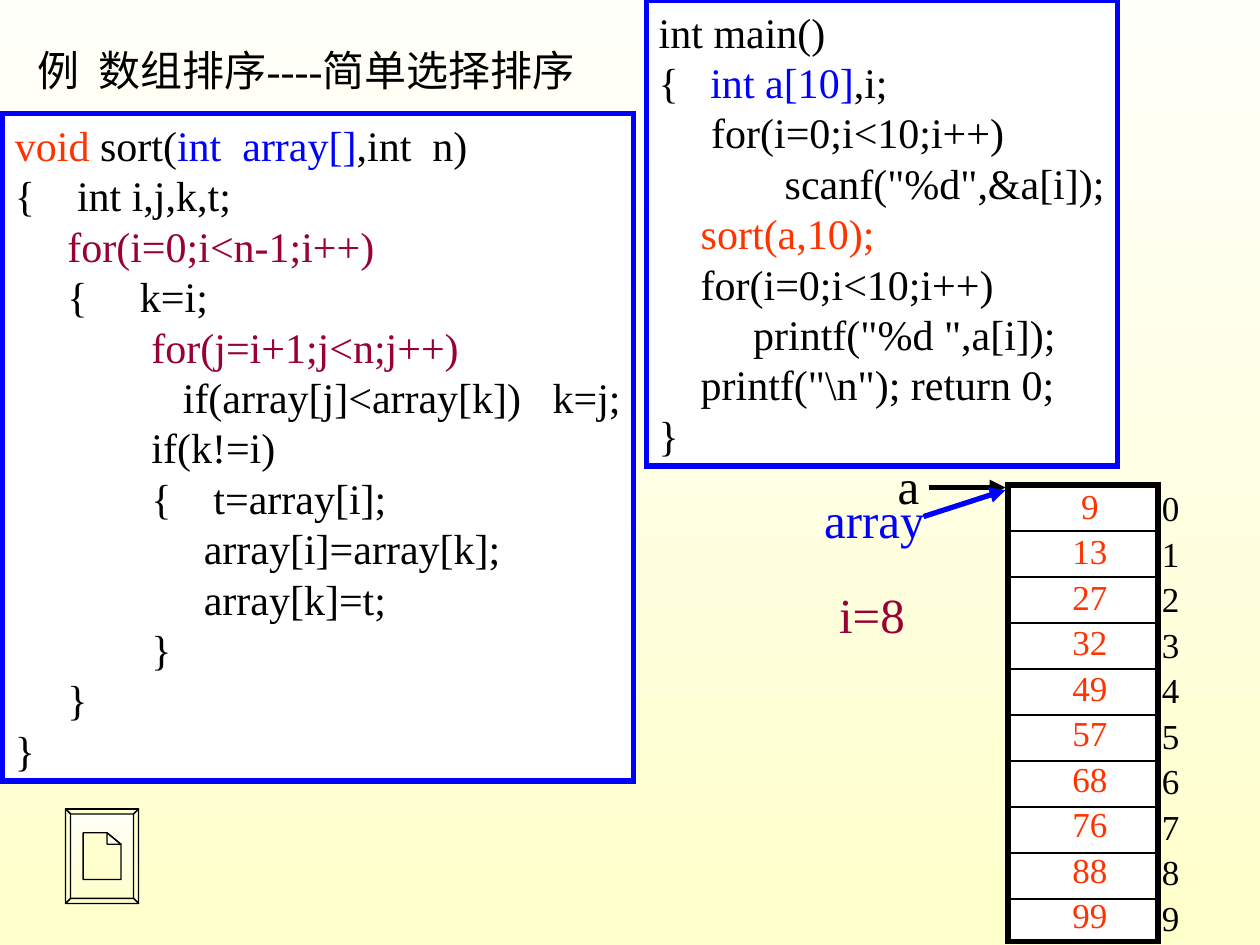
from lxml.etree import SubElement as Sub
from pptx import Presentation
from pptx.dml.color import RGBColor
from pptx.enum.shapes import MSO_CONNECTOR as Link, MSO_SHAPE as Shape
from pptx.enum.text import MSO_ANCHOR as Anchor, MSO_AUTO_SIZE as Fit, PP_ALIGN as Align
from pptx.oxml.ns import qn
from pptx.util import Inches, Pt

BLACK, WHITE, BLUE, RED, WINE = "000000", "FFFFFF", "0000FF", "FF3300", "990033"
FACE = "Times New Roman"
FRAME = {"word_wrap": False, "auto_size": Fit.SHAPE_TO_FIT_TEXT,
         "margin_left": Inches(0.1), "margin_right": Inches(0.1),
         "margin_top": Inches(0.05), "margin_bottom": Inches(0.05)}

SORT = [
    [("void", RED), (" sort(", BLACK), ("int  array[]", BLUE), (",int  n)", BLACK)],
    [("{    int i,j,k,t;", BLACK)],
    [("     for(i=0;i<n-1;i++)", WINE)],
    [("     {     k=i;", BLACK)],
    [("\t for(j=i+1;j<n;j++)", WINE)],
    [("\t    if(array[j]<array[k])   k=j;", BLACK)],
    [("\t if(k!=i)", BLACK)],
    [("\t {    t=array[i];", BLACK)],
    [("\t      array[i]=array[k];", BLACK)],
    [("\t      array[k]=t;", BLACK)],
    [("\t }", BLACK)],
    [("     }", BLACK)],
    [("}", BLACK)],
]
MAIN = [
    [("int main()", BLACK)],
    [("{  ", BLACK), (" int a[10]", BLUE), (",i;", BLACK)],
    [("     for(i=0;i<10;i++)", BLACK)],
    [("\tscanf(\"%d\",&a[i]);", BLACK)],
    [("    ", BLACK), ("sort(a,10);", RED)],
    [("    for(i=0;i<10;i++)", BLACK)],
    [("         printf(\"%d \",a[i]);", BLACK)],
    [("    printf(\"\\n\"); return 0;", BLACK)],
    [("}", BLACK)],
]
VALUES = [9, 13, 27, 32, 49, 57, 68, 76, 88, 99]


def tint(hue):
    """Turn a hex string into a colour."""
    return RGBColor.from_string(hue)


def apply(thing, style):
    """Set each attribute named in a style dict."""
    for name, value in style.items():
        setattr(thing, name, value)


def fade(fill):
    """Give a fill the pale yellow gradient, running downwards."""
    fill.gradient()
    fill.gradient_angle = 270
    for stop, hue in zip(fill.gradient_stops, ("FFFFFA", "FFFFCC")):
        stop.color.rgb = tint(hue)


def draw(line, hue, width):
    """Set the colour and width of a line."""
    line.color.rgb = tint(hue)
    line.width = Pt(width)


def tabs(para):
    """Put a left tab stop at every inch."""
    stops = Sub(para._p.get_or_add_pPr(), qn("a:tabLst"))
    for n in range(8):
        Sub(stops, qn("a:tab"), pos=str(Inches(n)), algn="l")


def write(frame, lines, size, align=Align.LEFT, anchor=Anchor.TOP):
    """Fill a text frame with lines of coloured runs."""
    apply(frame, FRAME | {"vertical_anchor": anchor})
    for n, parts in enumerate(lines):
        para = frame.add_paragraph() if n else frame.paragraphs[0]
        para.alignment = align
        tabs(para)
        for text, hue in parts:
            run = para.add_run()
            run.text = text
            apply(run.font, {"name": FACE, "size": Pt(size)})
            run.font.color.rgb = tint(hue)


def label(slide, mid, top, wide, text, hue, size):
    """Add a one-line label centred on a given x."""
    high = 0.44 if size == 20 else 0.57
    box = slide.shapes.add_textbox(Inches(mid - wide / 2), Inches(top),
                                   Inches(wide), Inches(high))
    write(box.text_frame, [[(text, hue)]], size, Align.CENTER, Anchor.MIDDLE)


def rule(slide, start, end, hue, width, arrow=False):
    """Draw a straight line, with an arrowhead if asked."""
    line = slide.shapes.add_connector(Link.STRAIGHT, *map(Inches, start + end))
    draw(line.line, hue, width)
    if arrow:
        Sub(line.line._get_or_add_ln(), qn("a:tailEnd"), type="triangle")
    Sub(line._element.spPr, qn("a:effectLst"))


def panel(slide, box, hue):
    """Add a plain white box with a sharp-cornered outline."""
    shape = slide.shapes.add_shape(Shape.RECTANGLE, *map(Inches, box))
    shape.shadow.inherit = False
    shape.fill.solid()
    shape.fill.fore_color.rgb = tint(WHITE)
    draw(shape.line, hue, 3)
    Sub(shape.line._get_or_add_ln(), qn("a:miter"), lim="800000")
    return shape


def title(slide, box, text):
    """Place the slide title."""
    head = slide.shapes.title
    apply(head, dict(zip(("left", "top", "width", "height"), map(Inches, box))))
    write(head.text_frame, [[(text, BLACK)]], 24)


def code(slide, box, lines):
    """Place a code listing in a blue outlined box."""
    write(panel(slide, box, BLUE).text_frame, lines, 24)


def stack(slide, box, values):
    """Place the column of array cells with values and index labels."""
    left, top, wide, _ = box
    panel(slide, box, BLACK)
    for n, value in enumerate(values):
        if n:
            y = top + 0.365 * n
            rule(slide, (left, y), (left + wide, y), BLACK, 0.75)
        y = top + 0.361 * n
        text = str(value)
        label(slide, left + 0.65, y - 0.06, 0.2 + 0.14 * len(text), text, RED, 20)
        label(slide, left + 1.29, y - 0.04, 0.34, str(n), BLACK, 20)


def names(slide, box):
    """Place the two array names, their arrows and the loop counter."""
    left, top, wide, _ = box
    tip = left + wide
    rule(slide, (tip - 0.61, top + 0.31), (tip, top + 0.31), BLACK, 3, True)
    label(slide, left + 0.77, top, 0.37, "a", BLACK, 28)
    rule(slide, (tip - 0.65, top + 0.54), (tip, top + 0.33), BLUE, 3, True)
    label(slide, left + 0.5, top + 0.27, 1, "array", BLUE, 28)
    label(slide, left + 0.48, top + 1.03, 0.72, "i=8", WINE, 28)


def button(slide, box):
    """Draw a bevelled button with a page icon."""
    left, top, wide, high = box

    def ring(gap):
        """Give the corners of the button, moved in by a gap."""
        return [(gap, gap), (wide - gap, gap),
                (wide - gap, high - gap), (gap, high - gap)]

    outer, inner = ring(0), ring(0.04)
    sides = [[outer[k], outer[(k + 1) % 4], inner[(k + 1) % 4], inner[k]]
             for k in range(4)]
    page = [(0.14, 0.19), (0.33, 0.19), (0.44, 0.28), (0.44, 0.56), (0.14, 0.56)]
    fold = [(0.33, 0.19), (0.44, 0.28), (0.33, 0.28)]
    pen = slide.shapes.build_freeform(Inches(left), Inches(top))
    for loop in [outer, *sides, page, fold]:
        dots = [(Inches(left + x), Inches(top + y)) for x, y in loop]
        pen.move_to(*dots[0])
        pen.add_line_segments(dots[1:], close=True)
    shape = pen.convert_to_shape()
    shape.shadow.inherit = False
    fade(shape.fill)
    draw(shape.line, BLACK, 0.75)


def main():
    """Build and save the slide."""
    deck = Presentation()
    apply(deck, {"slide_width": Inches(10), "slide_height": Inches(7.5)})
    slide = deck.slides.add_slide(deck.slide_layouts[5])
    fade(slide.background.fill)
    title(slide, (0.2, 0.3, 4.9, 0.5), "例  数组排序----简单选择排序")
    stack(slide, (8, 3.85, 1.19, 3.62), VALUES)
    names(slide, (6.44, 3.56, 1.54, 1.6))
    button(slide, (0.52, 6.42, 0.58, 0.75))
    code(slide, (0.02, 0.9, 5.01, 5.3), SORT)
    code(slide, (5.13, 0, 3.74, 3.7), MAIN)
    deck.save("out.pptx")


if __name__ == "__main__":
    main()
